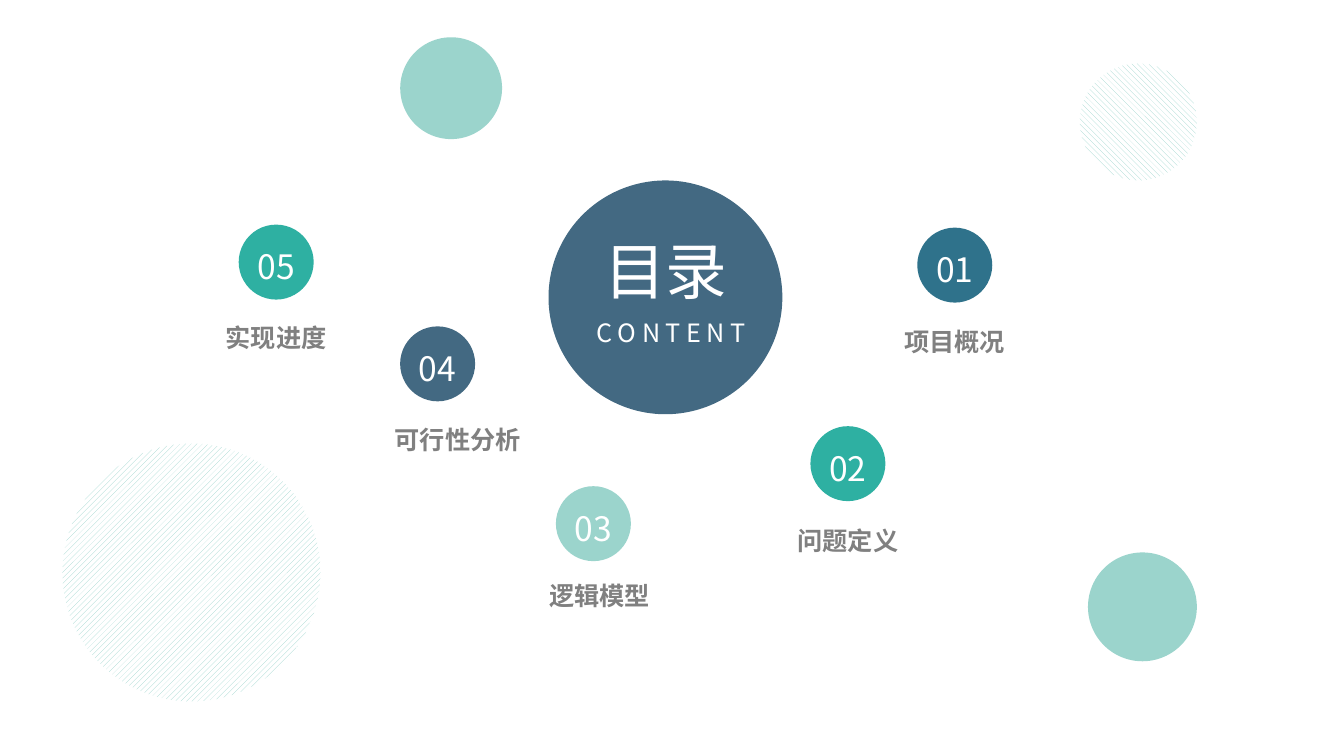
from dataclasses import dataclass

from lxml.etree import SubElement
from pptx import Presentation
from pptx.dml.color import RGBColor as Color
from pptx.enum.dml import MSO_PATTERN as Pattern
from pptx.enum.shapes import MSO_SHAPE as Shape
from pptx.enum.text import MSO_ANCHOR as Anchor, PP_ALIGN as Align
from pptx.oxml.ns import qn
from pptx.util import Inches, Pt


@dataclass(frozen=True)
class Theme:
    font: str = "Noto Sans CJK SC"
    navy: Color = Color(0x43, 0x69, 0x82)
    blue: Color = Color(0x2F, 0x72, 0x8B)
    teal: Color = Color(0x2E, 0xB0, 0xA2)
    mint: Color = Color(0x9B, 0xD4, 0xCC)
    grey: Color = Color(0x80, 0x80, 0x80)
    white: Color = Color(0xFF, 0xFF, 0xFF)
    title_size: int = 44
    number_size: int = 24
    label_size: int = 18


theme = Theme()
presentation = Presentation()
presentation.slide_width, presentation.slide_height = Inches(13.33), Inches(7.5)
slide = presentation.slides.add_slide(presentation.slide_layouts[6])
column = presentation.slide_width / 100
row = presentation.slide_height / 100


def add_circle(center_x, center_y, diameter, color, pattern=None):
    size = diameter * column
    circle = slide.shapes.add_shape(
        Shape.OVAL, int(center_x * column - size / 2),
        int(center_y * row - size / 2), int(size), int(size))
    circle.shadow.inherit = False
    circle.line.fill.background()
    if pattern is None:
        circle.fill.solid()
        circle.fill.fore_color.rgb = color
    else:
        circle.fill.patterned()
        circle.fill.pattern = pattern
        circle.fill.fore_color.rgb = color
        circle.fill.back_color.rgb = theme.white
    return circle


def write(text, size, color, center_x=0, center_y=0, width=0, height=0,
          shape=None, bold=False, line_spacing=1.0, tracking=0):
    if shape is None:
        shape = slide.shapes.add_textbox(
            int((center_x - width / 2) * column), int((center_y - height / 2) * row),
            int(width * column), int(height * row))
    frame = shape.text_frame
    frame.margin_left = frame.margin_right = frame.margin_top = frame.margin_bottom = 0
    frame.vertical_anchor = Anchor.MIDDLE
    frame.word_wrap = True
    frame.text = text
    paragraph = frame.paragraphs[0]
    paragraph.alignment = Align.CENTER
    paragraph.line_spacing = line_spacing
    run = paragraph.runs[0]
    run.font.name = theme.font
    run.font.size = Pt(size)
    run.font.bold = bold
    run.font.color.rgb = color
    properties = run.font._element
    SubElement(properties, qn("a:ea")).set("typeface", theme.font)
    if tracking:
        properties.set("spc", str(tracking * 100))


topics = [
    ("项目概况", 71.04, 35.07, theme.blue, 0, 9.73),
    ("问题定义", 63.09, 61.33, theme.teal, 0, 9.73),
    ("逻辑模型", 44.15, 69.27, theme.mint, 0.45, 9.13),
    ("可行性分析", 32.56, 48.13, theme.navy, 1.5, 9.6),
    ("实现进度", 20.55, 34.67, theme.teal, 0, 9.6),
]
for number, (label, x, y, color, shift, drop) in enumerate(topics, 1):
    badge = add_circle(x, y, 5.58, color)
    write(f"{number:02}", theme.number_size, theme.white, shape=badge, line_spacing=1.2)
    write(label, theme.label_size, theme.grey, x + shift, y + drop, 12, 4.8,
          bold=True, line_spacing=1.2)

add_circle(49.51, 39.33, 17.4, theme.navy)
write("目录", theme.title_size, theme.white, 49.55, 35.73, 10.8, 11.2)
write("CONTENT", theme.label_size, theme.white, 49.96, 44, 13.5, 5.33, tracking=4)

decorations = [
    (85, 80.27, 8.1, None),
    (33.57, 11.67, 7.58, None),
    (14.25, 75.73, 19.2, Pattern.WIDE_UPWARD_DIAGONAL),
    (84.7, 16.13, 8.7, Pattern.WIDE_DOWNWARD_DIAGONAL),
]
for x, y, diameter, pattern in decorations:
    add_circle(x, y, diameter, theme.mint, pattern)

presentation.save("out.pptx")
